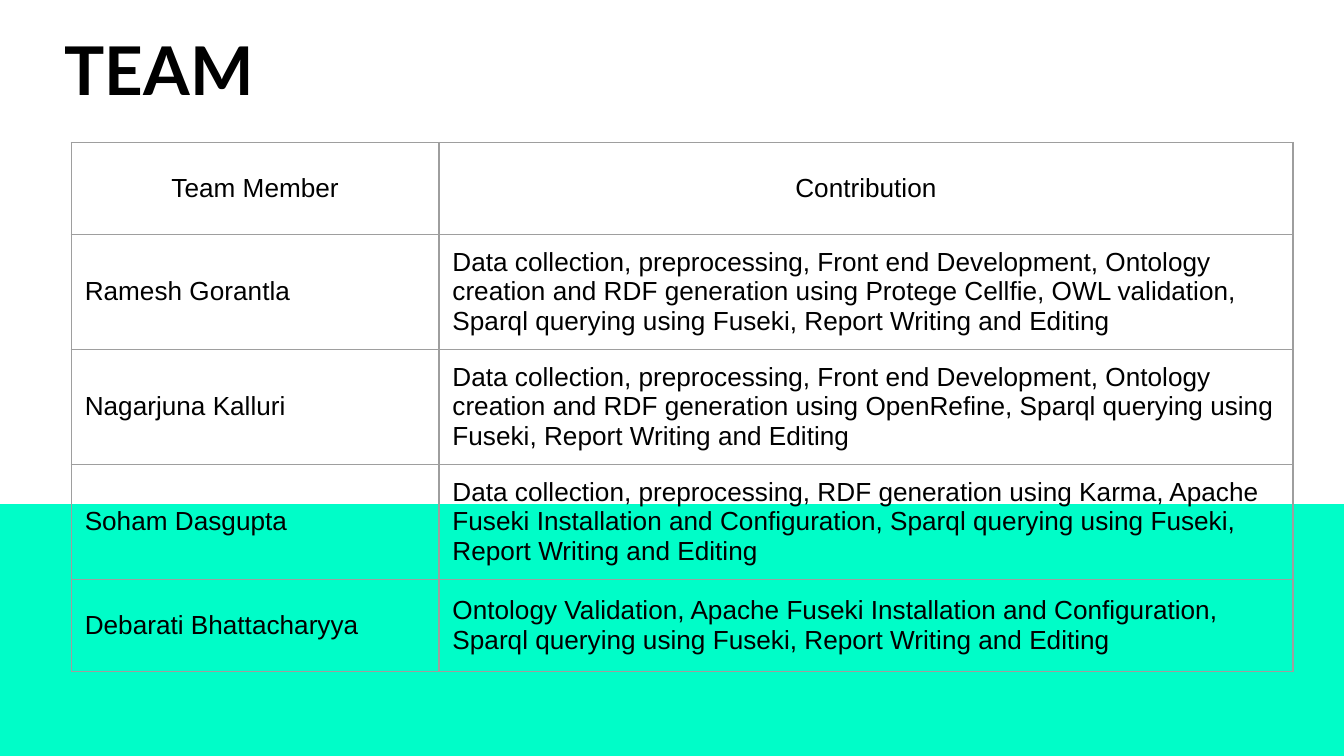
from dataclasses import dataclass

from lxml.etree import SubElement
from pptx import Presentation
from pptx.dml.color import RGBColor
from pptx.enum.shapes import MSO_SHAPE
from pptx.enum.text import MSO_ANCHOR, MSO_AUTO_SIZE, PP_ALIGN
from pptx.oxml import parse_xml
from pptx.oxml.ns import nsdecls, qn
from pptx.util import Pt


@dataclass(frozen=True)
class Theme:
    mint: str = "00FDC8"
    white: str = "FFFFFF"
    ink: str = "000000"
    rule: str = "9E9E9E"
    rule_width: float = 0.75
    title_font: str = "Lato"
    body_font: str = "Arial"
    title_size: int = 36
    body_size: int = 14
    inset: float = 7.2


THEME = Theme()
SLIDE_WIDTH, SLIDE_HEIGHT = 720, 405
MEMBER_SHARE = 0.301  # part of the table width given to the names

ROWS = [
    ("Team Member", "Contribution"),
    ("Ramesh Gorantla",
     "Data collection, preprocessing, Front end Development, Ontology creation "
     "and RDF generation using Protege Cellfie, OWL validation, Sparql querying "
     "using Fuseki, Report Writing and Editing"),
    ("Nagarjuna Kalluri",
     "Data collection, preprocessing, Front end Development, Ontology creation "
     "and RDF generation using OpenRefine, Sparql querying using Fuseki, "
     "Report Writing and Editing"),
    ("Soham Dasgupta",
     "Data collection, preprocessing, RDF generation using Karma, Apache Fuseki "
     "Installation and Configuration, Sparql querying using Fuseki, "
     "Report Writing and Editing"),
    ("Debarati Bhattacharyya",
     "Ontology Validation, Apache Fuseki Installation and Configuration, "
     "Sparql querying using Fuseki, Report Writing and Editing"),
]


def write_text(frame, text, *, font=THEME.body_font, size=THEME.body_size,
               color=THEME.ink, bold=False, align=PP_ALIGN.LEFT):
    para = frame.paragraphs[0]
    para.alignment = align
    para.space_before = Pt(0)
    span = para.add_run()
    span.text = text
    span.font.name = font
    span.font.size = Pt(size)
    span.font.bold = bold
    span.font.color.rgb = RGBColor.from_string(color)


def set_insets(target):
    target.margin_left = target.margin_right = Pt(THEME.inset)
    target.margin_top = target.margin_bottom = Pt(THEME.inset)


def set_borders(cell):
    # Border lines come before the fill in the cell properties
    properties = cell._tc.get_or_add_tcPr()
    for index, side in enumerate(("lnL", "lnR", "lnT", "lnB")):
        line = parse_xml(f'<a:{side} {nsdecls("a")} w="{Pt(THEME.rule_width)}"/>')
        fill = SubElement(line, qn("a:solidFill"))
        SubElement(fill, qn("a:srgbClr"), val=THEME.rule)
        properties.insert(index, line)


def add_backdrop(page, left, top, width, height):
    page.background.fill.solid()
    page.background.fill.fore_color.rgb = RGBColor.from_string(THEME.mint)
    panel = page.shapes.add_shape(MSO_SHAPE.RECTANGLE, Pt(left), Pt(top),
                                  Pt(width), Pt(height))
    panel.shadow.inherit = False
    panel.fill.solid()
    panel.fill.fore_color.rgb = RGBColor.from_string(THEME.white)
    panel.line.fill.background()
    # Send the panel behind the title
    panel.element.getparent().insert(2, panel.element)


def add_title(page, text, left, top, width, height):
    title = page.shapes.title
    title.left, title.top = Pt(left), Pt(top)
    title.width, title.height = Pt(width), Pt(height)
    frame = title.text_frame
    frame.word_wrap = True
    frame.auto_size = MSO_AUTO_SIZE.NONE
    frame.vertical_anchor = MSO_ANCHOR.TOP
    set_insets(frame)
    write_text(frame, text, font=THEME.title_font, size=THEME.title_size, bold=True)


def add_team_table(page, rows, left, top, width, height):
    table = page.shapes.add_table(len(rows), len(rows[0]), Pt(left), Pt(top),
                                  Pt(width), Pt(height)).table
    table.first_row = False
    table.horz_banding = False
    table.columns[0].width = Pt(width * MEMBER_SHARE)
    table.columns[1].width = Pt(width * (1 - MEMBER_SHARE))
    for row_index, row in enumerate(rows):
        align = PP_ALIGN.LEFT if row_index else PP_ALIGN.CENTER
        for column_index, text in enumerate(row):
            cell = table.cell(row_index, column_index)
            cell.fill.background()
            cell.vertical_anchor = MSO_ANCHOR.MIDDLE
            set_insets(cell)
            set_borders(cell)
            write_text(cell.text_frame, text, align=align)


def main():
    deck = Presentation()
    deck.slide_width, deck.slide_height = Pt(SLIDE_WIDTH), Pt(SLIDE_HEIGHT)
    page = deck.slides.add_slide(deck.slide_layouts.get_by_name("Title Only"))
    add_backdrop(page, 0, 0, SLIDE_WIDTH, SLIDE_HEIGHT * 2 / 3)
    add_title(page, "TEAM", 27.4, 8, 296, 44.6)
    add_team_table(page, ROWS, 38.2, 76.3, 654.5, 246)
    deck.save("out.pptx")


if __name__ == "__main__":
    main()
